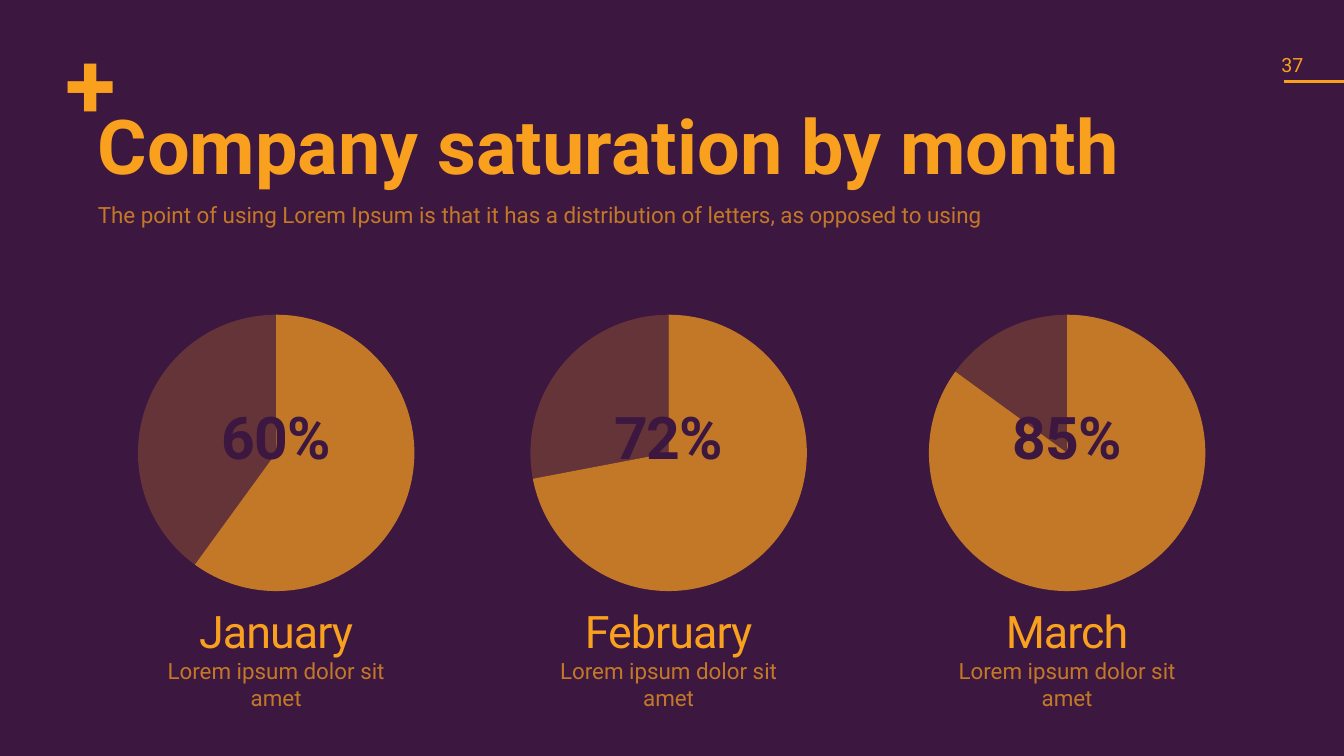
from dataclasses import dataclass

from lxml import etree
from pptx import Presentation
from pptx.chart.data import CategoryChartData
from pptx.dml.color import RGBColor
from pptx.enum.chart import XL_CHART_TYPE
from pptx.enum.shapes import MSO_CONNECTOR
from pptx.enum.text import MSO_ANCHOR, MSO_AUTO_SIZE, PP_ALIGN
from pptx.oxml import parse_xml
from pptx.oxml.ns import nsdecls, qn
from pptx.util import Inches, Pt

PIE = XL_CHART_TYPE.PIE
STRAIGHT = MSO_CONNECTOR.STRAIGHT
TOP, MIDDLE = MSO_ANCHOR.TOP, MSO_ANCHOR.MIDDLE
LEFT, CENTER = PP_ALIGN.LEFT, PP_ALIGN.CENTER
FIXED = MSO_AUTO_SIZE.NONE

WIDTH, HEIGHT = 13.33, 7.5
PIE_SIZE = 2.77
INSET = 0.05


@dataclass(frozen=True)
class Theme:
    """Colours, fonts and type sizes of the slide."""
    ground: str = "3C1740"
    accent: str = "F9A01E"
    muted: str = "C37827"
    chart_text: str = "15243B"
    font: str = "Roboto"
    chart_font: str = "Calibri"
    mark: int = 66
    title: int = 54
    percent: int = 42
    month: int = 32
    body: int = 16
    number: int = 14
    chart: int = 10


THEME = Theme()

MONTHS = [
    ("January", 60, 20.55),
    ("February", 72, 49.75),
    ("March", 85, 79.4),
]


def colour(code):
    """Turn a hex code into a colour."""
    return RGBColor.from_string(code)


def across(share):
    """Give a length as a percentage of the slide width."""
    return Inches(WIDTH * share / 100)


def down(share):
    """Give a length as a percentage of the slide height."""
    return Inches(HEIGHT * share / 100)


def grid_area(left, top, width, height):
    """Give an area as percentages of the slide size."""
    return across(left), down(top), across(width), down(height)


def set_values(target, values):
    """Set each named attribute on the target."""
    for name, value in values.items():
        setattr(target, name, value)


def format_frame(frame, wrap=True, anchor=TOP, inset=INSET):
    """Set the margins, wrapping and anchor of a text frame."""
    sides = ("left", "top", "right", "bottom")
    set_values(frame, {f"margin_{side}": Inches(inset) for side in sides})
    set_values(frame, {"auto_size": FIXED, "word_wrap": wrap,
                       "vertical_anchor": anchor})


def write_para(para, text, size, ink, bold=False, align=LEFT, spacing=1.0, tracking=0):
    """Write one formatted span into a paragraph."""
    set_values(para, {"alignment": align, "line_spacing": spacing,
                      "space_before": Pt(0), "space_after": Pt(0)})
    span = para.add_run()
    span.text = text
    set_values(span.font, {"name": THEME.font, "size": Pt(size), "bold": bold})
    span.font.color.rgb = colour(ink)
    span.font._element.set("spc", str(tracking))


def add_label(page, area, lines, **frame_format):
    """Add a text box with one paragraph per line."""
    frame = page.shapes.add_textbox(*area).text_frame
    format_frame(frame, **frame_format)
    for index, line in enumerate(lines):
        para = frame.add_paragraph() if index else frame.paragraphs[0]
        write_para(para, **line)


def fill_placeholder(box, area, **line):
    """Move a placeholder and write its text without a bullet."""
    set_values(box, dict(zip(("left", "top", "width", "height"), area)))
    format_frame(box.text_frame)
    para = box.text_frame.paragraphs[0]
    properties = para._p.get_or_add_pPr()
    set_values(para, {"level": 0})
    properties.set("marL", "0")
    properties.set("indent", "0")
    etree.SubElement(properties, qn("a:buNone"))
    write_para(para, **line)


def add_rule(page):
    """Draw the line below the page number."""
    rule = page.shapes.add_connector(STRAIGHT, across(95.5), down(10.8),
                                     across(100), down(10.8))
    rule.line.color.rgb = colour(THEME.accent)
    rule.line.width = Pt(2)
    etree.SubElement(rule._element.spPr, qn("a:effectLst"))


def fill_plot_area(chart):
    """Stretch the pie over the whole chart frame."""
    places = {"xMode": "edge", "yMode": "edge", "x": 0.005, "y": 0.005,
              "w": 0.99, "h": 0.99}
    rows = "".join(f'<c:{name} val="{value}"/>' for name, value in places.items())
    layout = parse_xml(f'<c:layout {nsdecls("c")}><c:manualLayout>'
                       f'<c:layoutTarget val="inner"/>{rows}'
                       '</c:manualLayout></c:layout>')
    plot_area = chart._chartSpace.chart.plotArea
    for old in plot_area.findall(qn("c:layout")):
        plot_area.remove(old)
    plot_area.insert(0, layout)


def add_pie(page, center, percent):
    """Add a pie with a solid share and a translucent rest."""
    data = CategoryChartData()
    data.categories = ["1", "2"]
    data.add_series("Series 1", (percent, 100 - percent))
    size = Inches(PIE_SIZE)
    chart = page.shapes.add_chart(PIE, across(center) - size // 2, down(41.45),
                                  size, size, data).chart
    set_values(chart, {"has_legend": False, "has_title": False})
    set_values(chart.font, {"name": THEME.chart_font, "size": Pt(THEME.chart)})
    chart.font.color.rgb = colour(THEME.chart_text)
    plot = chart.plots[0]
    plot.vary_by_categories = False
    for index in range(2):
        slice_format = plot.series[0].points[index].format
        slice_format.fill.solid()
        slice_format.fill.fore_color.rgb = colour(THEME.muted)
        slice_format.line.fill.background()
    paint = slice_format.fill._xPr.find(qn("a:solidFill"))[0]
    etree.SubElement(paint, qn("a:alpha")).set("val", "30000")
    fill_plot_area(chart)


def add_month(page, month, percent, center):
    """Add a pie with its percentage and caption."""
    add_pie(page, center, percent)
    add_label(page, grid_area(center - 4.4, 54.15, 8.8, 8.9), [
        dict(text=f"{percent}%", size=THEME.percent, ink=THEME.ground, bold=True,
             align=CENTER, spacing=0.8, tracking=-70)], wrap=False)
    add_label(page, grid_area(center - 9.75, 79.2, 19.5, 11.85), [
        dict(text=month, size=THEME.month, ink=THEME.accent, align=CENTER, tracking=-70),
        dict(text="Lorem ipsum dolor sit amet", size=THEME.body, ink=THEME.muted,
             align=CENTER)])


def main():
    """Build the slide and save the deck."""
    deck = Presentation()
    set_values(deck, {"slide_width": Inches(WIDTH), "slide_height": Inches(HEIGHT)})
    page = deck.slides.add_slide(deck.slide_layouts[1])
    page.background.fill.solid()
    page.background.fill.fore_color.rgb = colour(THEME.ground)
    add_label(page, grid_area(4.5, 5.6, 4.58, 15.6), [
        dict(text="+", size=THEME.mark, ink=THEME.accent, bold=True, spacing=0.8)],
        wrap=False)
    add_rule(page)
    add_label(page, grid_area(94.82, 6.13, 2.7, 4.93), [
        dict(text="37", size=THEME.number, ink=THEME.accent)],
        wrap=False, anchor=MIDDLE, inset=0.07)
    fill_placeholder(page.shapes.title, grid_area(6.9, 15.2, 86.27, 12.93),
                     text="Company saturation by month", size=THEME.title,
                     ink=THEME.accent, bold=True, spacing=0.75)
    fill_placeholder(page.placeholders[1], grid_area(6.9, 27.2, 86.27, 8.27),
                     text="The point of using Lorem Ipsum is that it has a distribution"
                          " of letters, as opposed to using",
                     size=THEME.body, ink=THEME.muted, spacing=0.6)
    for month, percent, center in MONTHS:
        add_month(page, month, percent, center)
    deck.save("out.pptx")


if __name__ == "__main__":
    main()
